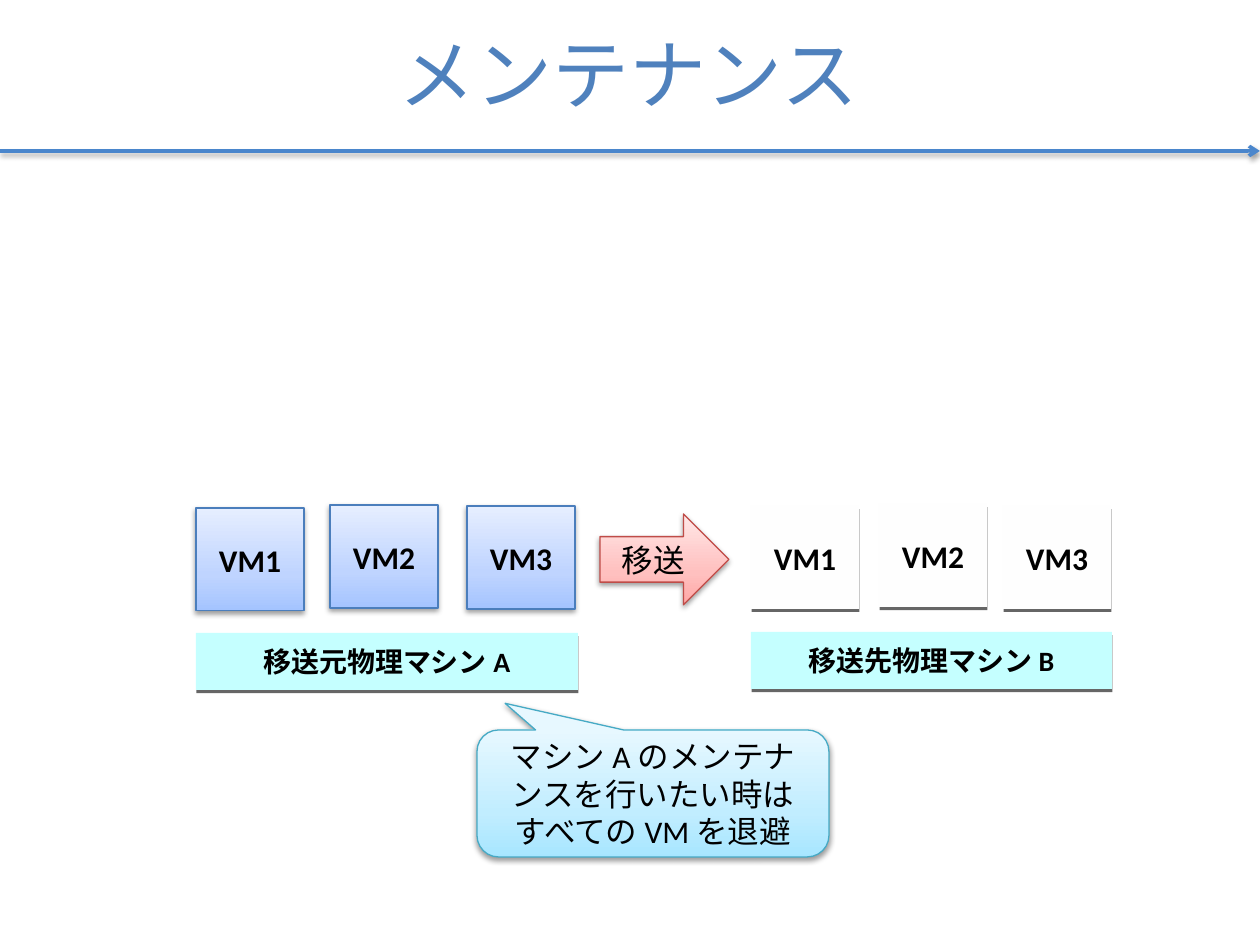
"""Build the maintenance slide: virtual machines moved from machine A to machine B."""
from copy import deepcopy

from lxml import etree
from pptx import Presentation
from pptx.dml.color import RGBColor
from pptx.enum.shapes import MSO_CONNECTOR, MSO_SHAPE
from pptx.enum.text import MSO_ANCHOR, PP_ALIGN
from pptx.oxml.ns import qn
from pptx.util import Emu, Pt

RECTANGLE = MSO_SHAPE.RECTANGLE
ARROW = MSO_SHAPE.RIGHT_ARROW
CALLOUT = MSO_SHAPE.ROUNDED_RECTANGULAR_CALLOUT
STRAIGHT = MSO_CONNECTOR.STRAIGHT
CENTER = PP_ALIGN.CENTER
MIDDLE = MSO_ANCHOR.MIDDLE

TITLE = "メンテナンス"
VM_SIZE = (108, 103)
SOURCE_VMS = [("VM1", 196, 508), ("VM2", 330, 505), ("VM3", 467, 506)]
TARGET_VMS = [("VM1", 751, 506), ("VM2", 879, 504), ("VM3", 1003, 506)]
MACHINES = [
    ("移送元物理マシン A", (196, 633, 382, 57)),
    ("移送先物理マシン B", (751, 632, 361, 57)),
]
MOVE = ("移送", (600, 514, 129, 91))
NOTE = ("マシン A のメンテナンスを行いたい時は\nすべての VM を退避", (477, 730, 352, 127))
NOTE_ADJUSTMENTS = (-0.42, -0.71, 0.17)
TITLE_BOX = (23, 0, 1211, 145)
RULE_Y = 151

THEME = {
    "font": "Calibri",
    "text": "000000",
    "title": {"size": 44, "color": "4F81BD"},
    "rule": {"color": "4A86CC", "width": 2},
    "label": 18,
    "machine_label": 16,
    "stops": (0, 0.35, 1),
    "soft": {"color": "000000", "alpha": 38, "blur": 3.1, "distance": 1.6, "angle": 90},
    "edge": {"color": "666666", "alpha": 100, "blur": 0, "distance": 1.8, "angle": 80},
    "vm": {"fill": ("A4C4FF", "BFD4FF", "E6EEFF"), "line": "4B7EBC", "shadow": "soft"},
    "move": {"fill": ("FFA6A5", "FFC0BF", "FFE7E7"), "line": "BF4C48", "shadow": "soft"},
    "note": {"fill": ("A7E6FF", "C1EDFF", "E7F8FF"), "line": "46AAC5", "shadow": "soft"},
    "ghost": {"fill": ("FEFEFE",), "line": None, "shadow": "edge"},
    "machine": {"fill": ("C5FFFF",), "line": None, "shadow": "edge"},
}
SCALE = 914400 // 126


def px(*lengths):
    return [Emu(round(length * SCALE)) for length in lengths]


def color(name):
    return RGBColor.from_string(name)


def set_shadow(properties, name):
    style = THEME[name]
    effects = properties.find(qn("a:effectLst"))
    if effects is None:
        effects = etree.SubElement(properties, qn("a:effectLst"))
    shadow = etree.SubElement(effects, qn("a:outerShdw"), {
        "blurRad": str(Pt(style["blur"])),
        "dist": str(Pt(style["distance"])),
        "dir": str(style["angle"] * 60000),
        "rotWithShape": "0",
    })
    tint = etree.SubElement(shadow, qn("a:srgbClr"), val=style["color"])
    etree.SubElement(tint, qn("a:alpha"), val=str(style["alpha"] * 1000))


def set_fill(shape, colors):
    if len(colors) == 1:
        shape.fill.solid()
        shape.fill.fore_color.rgb = color(colors[0])
        return
    shape.fill.gradient()
    shape.fill.gradient_angle = 90
    stop_list = shape._element.spPr.find(".//" + qn("a:gsLst"))
    stop_list.append(deepcopy(stop_list[0]))
    for stop, position, name in zip(shape.fill.gradient_stops, THEME["stops"], colors):
        stop.position = position
        stop.color.rgb = color(name)


def set_text(shape, text, size, bold=False, tint=THEME["text"]):
    frame = shape.text_frame
    frame.text = text
    frame.word_wrap = True
    frame.vertical_anchor = MIDDLE
    values = {"name": THEME["font"], "size": Pt(size), "bold": bold}
    for para in frame.paragraphs:
        para.alignment = CENTER
        for span in para.runs:
            for key, value in values.items():
                setattr(span.font, key, value)
            span.font.color.rgb = color(tint)


def add_box(page, kind, box, style_name, text, size=THEME["label"], bold=False):
    style = THEME[style_name]
    shape = page.shapes.add_shape(kind, *px(*box))
    shape.shadow.inherit = False
    set_fill(shape, style["fill"])
    if style["line"]:
        shape.line.color.rgb = color(style["line"])
        shape.line.width = Pt(0.75)
    else:
        shape.line.fill.background()
    set_shadow(shape._element.spPr, style["shadow"])
    set_text(shape, text, size, bold)
    return shape


def add_rule(page):
    rule = page.shapes.add_connector(STRAIGHT, *px(0, RULE_Y, 1260, RULE_Y))
    rule.line.color.rgb = color(THEME["rule"]["color"])
    rule.line.width = Pt(THEME["rule"]["width"])
    properties = rule._element.spPr
    etree.SubElement(properties.find(qn("a:ln")), qn("a:tailEnd"), type="arrow")
    set_shadow(properties, "soft")


def main():
    deck = Presentation()
    deck.slide_width, deck.slide_height = px(1260, 945)
    page = deck.slides.add_slide(deck.slide_layouts[5])
    title = page.shapes.title
    title.left, title.top, title.width, title.height = px(*TITLE_BOX)
    set_text(title, TITLE, THEME["title"]["size"], tint=THEME["title"]["color"])
    add_rule(page)
    for text, box in MACHINES:
        add_box(page, RECTANGLE, box, "machine", text, THEME["machine_label"], True)
    for style_name, machines in (("vm", SOURCE_VMS), ("ghost", TARGET_VMS)):
        for text, left, top in machines:
            add_box(page, RECTANGLE, (left, top, *VM_SIZE), style_name, text, bold=True)
    add_box(page, ARROW, MOVE[1], "move", MOVE[0])
    note = add_box(page, CALLOUT, NOTE[1], "note", NOTE[0])
    for index, value in enumerate(NOTE_ADJUSTMENTS):
        note.adjustments[index] = value
    deck.save("out.pptx")


main()
